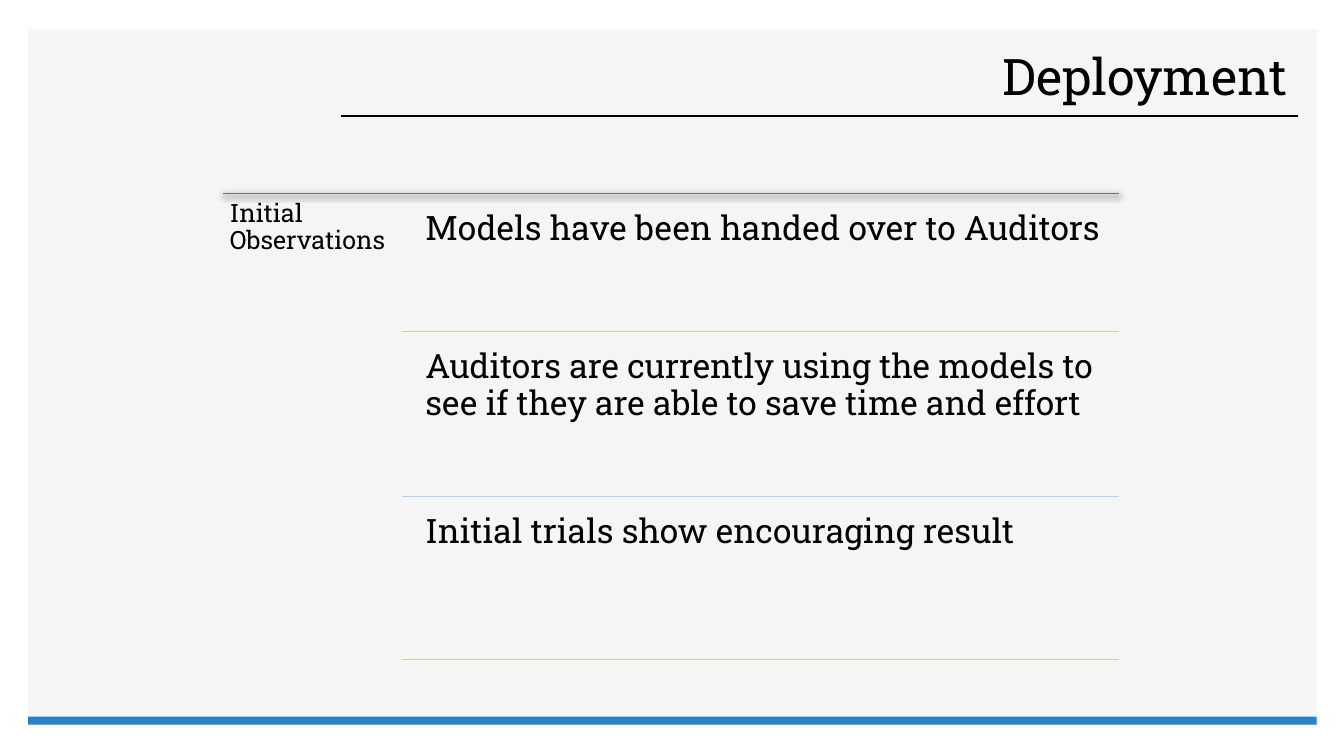
from dataclasses import dataclass

from lxml import etree
from pptx import Presentation
from pptx.dml.color import RGBColor
from pptx.enum.shapes import MSO_CONNECTOR, MSO_SHAPE
from pptx.enum.text import MSO_ANCHOR, PP_ALIGN
from pptx.oxml.ns import qn
from pptx.util import Inches, Pt

STRAIGHT = MSO_CONNECTOR.STRAIGHT
RECTANGLE = MSO_SHAPE.RECTANGLE
TOP, MIDDLE = MSO_ANCHOR.TOP, MSO_ANCHOR.MIDDLE
LEFT, RIGHT = PP_ALIGN.LEFT, PP_ALIGN.RIGHT


@dataclass(frozen=True)
class Theme:
    font: str = "Roboto Slab"
    ink: str = "000000"
    panel: str = "F5F5F5"
    accent: str = "2683C6"
    divider: str = "BECDE5"
    title_size: int = 36
    body_size: int = 24
    label_size: int = 18


THEME = Theme()

PANEL_LEFT, PANEL_WIDTH = 0.28, 12.78
LIST_LEFT, LIST_TOP, LIST_RIGHT = 2.21, 1.92, 11.1
DIVIDER_LEFT, ROW_LEFT, ROW_GAP = 3.99, 4.12, 0.08
OBSERVATIONS = [
    ("Models have been handed over to Auditors", 3.29),
    ("Auditors are currently using the models to see if they are able "
     "to save time and effort", 4.92),
    ("Initial trials show encouraging result", 6.54),
]


def add_block(page, left, top, width, height, color):
    block = page.shapes.add_shape(
        RECTANGLE, Inches(left), Inches(top), Inches(width), Inches(height))
    block.shadow.inherit = False
    block.fill.solid()
    block.fill.fore_color.rgb = RGBColor.from_string(color)
    block.line.fill.background()


def add_rule(page, left, right, y, color, weight, shadowed=False):
    """Draw a horizontal line, with a soft shadow below it if asked."""
    rule = page.shapes.add_connector(
        STRAIGHT, Inches(left), Inches(y), Inches(right), Inches(y))
    rule.line.color.rgb = RGBColor.from_string(color)
    rule.line.width = Pt(weight)
    effects = etree.SubElement(rule._element.spPr, qn("a:effectLst"))
    if shadowed:
        shadow = etree.SubElement(
            effects, qn("a:outerShdw"), blurRad=str(Pt(4.5)),
            dist=str(Pt(1.5)), dir="5400000", algn="ctr", rotWithShape="0")
        shade = etree.SubElement(shadow, qn("a:srgbClr"), val=THEME.ink)
        etree.SubElement(shade, qn("a:alpha"), val="63000")


def add_text(page, left, top, width, height, text, size,
             inset=0.1, align=LEFT, anchor=TOP):
    box = page.shapes.add_textbox(
        Inches(left), Inches(top), Inches(width), Inches(height))
    frame = box.text_frame
    frame.word_wrap = True
    frame.vertical_anchor = anchor
    frame.margin_left = frame.margin_right = Inches(inset)
    frame.margin_top = frame.margin_bottom = Inches(inset)
    para = frame.paragraphs[0]
    para.alignment = align
    para.line_spacing = 0.9
    span = para.add_run()
    span.text = text
    span.font.name = THEME.font
    span.font.size = Pt(size)
    span.font.color.rgb = RGBColor.from_string(THEME.ink)


def add_frame(page):
    add_block(page, PANEL_LEFT, 0.29, PANEL_WIDTH, 6.93, THEME.panel)
    add_rule(page, 3.38, 12.87, 1.15, THEME.ink, 1)
    add_block(page, PANEL_LEFT, 7.11, PANEL_WIDTH, 0.08, THEME.accent)


def add_observations(page):
    """Place the label and the rows, each closed by a divider."""
    add_rule(page, LIST_LEFT, LIST_RIGHT, LIST_TOP, THEME.accent, 0.5,
             shadowed=True)
    add_text(page, LIST_LEFT, LIST_TOP, 1.78, 4.7, "Initial Observations",
             THEME.label_size, inset=0.07)
    previous = LIST_TOP
    for text, bottom in OBSERVATIONS:
        top = previous + ROW_GAP
        add_text(page, ROW_LEFT, top, LIST_RIGHT - ROW_LEFT, bottom - top,
                 text, THEME.body_size)
        add_rule(page, DIVIDER_LEFT, LIST_RIGHT, bottom, THEME.divider, 0.5)
        previous = bottom


def main():
    deck = Presentation()
    deck.slide_width, deck.slide_height = Inches(13.33), Inches(7.5)
    page = deck.slides.add_slide(deck.slide_layouts[6])
    add_frame(page)
    add_text(page, 3.7, 0.42, 9.17, 0.73, "Deployment", THEME.title_size,
             inset=0.1, align=RIGHT, anchor=MIDDLE)
    add_observations(page)
    deck.save("out.pptx")


if __name__ == "__main__":
    main()
